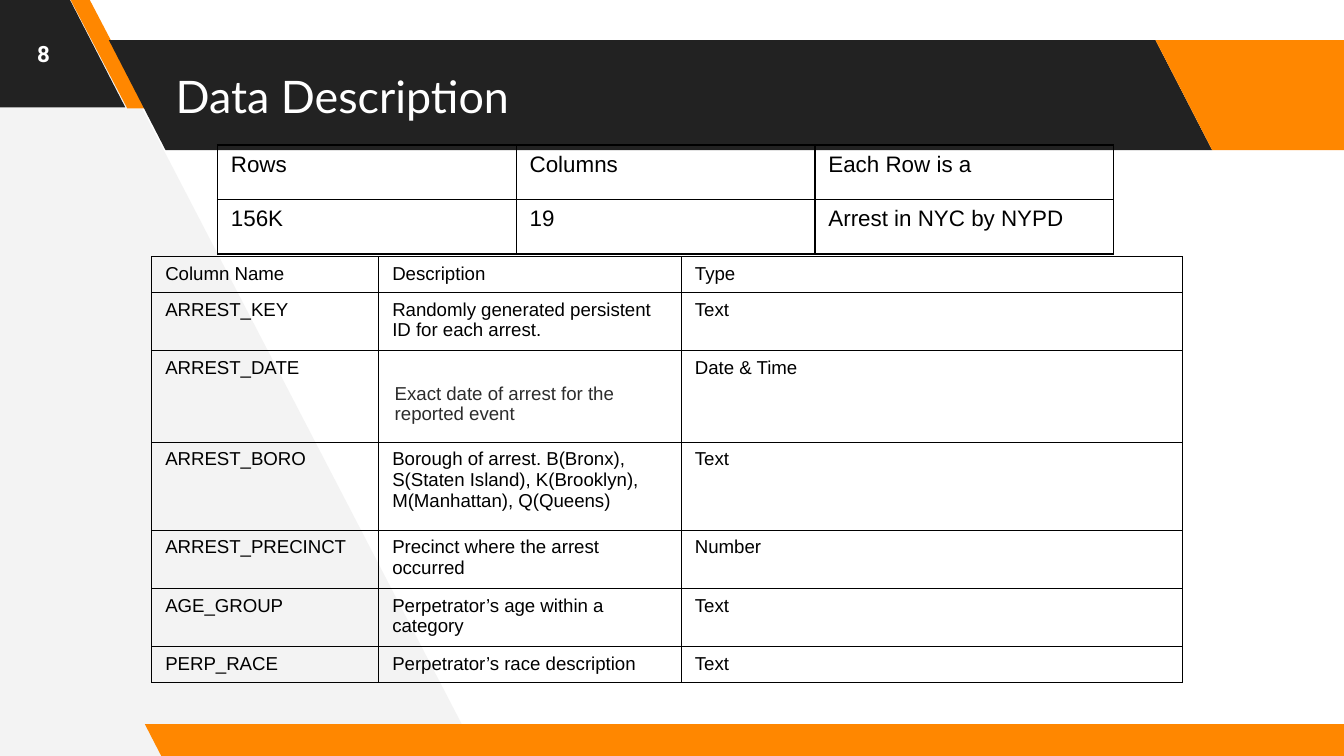
from lxml import etree
from pptx import Presentation
from pptx import util as u
from pptx.dml.color import RGBColor
from pptx.enum import shapes, text
from pptx.oxml import ns

Cm = u.Cm
COLORS = {
    "paper": "F3F3F3",
    "dark": "222222",
    "accent": "FF8700",
    "light": "FFFFFF",
    "ink": "000000",
    "soft_ink": "2C2C2C",
}
SUMMARY = [
    ["Rows", "Columns", "Each Row is a"],
    ["156K", "19", "Arrest in NYC by NYPD"],
]
FIELDS = [
    ["Column Name", "Description", "Type"],
    ["ARREST_KEY", "Randomly generated persistent ID for each arrest.", "Text"],
    ["ARREST_DATE", "Exact date of arrest for the reported event", "Date & Time"],
    ["ARREST_BORO", "Borough of arrest. B(Bronx), S(Staten Island), K(Brooklyn), "
     "M(Manhattan), Q(Queens)", "Text"],
    ["ARREST_PRECINCT", "Precinct where the arrest occurred", "Number"],
    ["AGE_GROUP", "Perpetrator’s age within a category", "Text"],
    ["PERP_RACE", "Perpetrator’s race description", "Text"],
]


def rgb(name):
    return RGBColor.from_string(COLORS[name])


def paint(shape, color):
    shape.shadow.inherit = False
    shape.fill.solid()
    shape.fill.fore_color.rgb = rgb(color)
    shape.line.fill.background()


def style(paragraph, font, size, color, bold=False):
    for run in paragraph.runs:
        run.font.name = font
        run.font.size = u.Pt(size)
        run.font.color.rgb = rgb(color)
        run.font.bold = bold


def add_band(slide, box, color, slant=0.515):
    band = slide.shapes.add_shape(shapes.MSO_SHAPE.PARALLELOGRAM, *map(Cm, box))
    band.adjustments[0] = slant
    band._element.spPr.xfrm.set("flipH", "1")
    paint(band, color)


def add_label(slide, box, wording, font, size, bold=False, align=None):
    label = slide.shapes.add_textbox(*map(Cm, box))
    frame = label.text_frame
    frame.word_wrap = True
    frame.vertical_anchor = text.MSO_ANCHOR.MIDDLE
    frame.margin_left = frame.margin_right = Cm(0.25)
    frame.margin_top = frame.margin_bottom = Cm(0.25)
    frame.text = wording
    frame.paragraphs[0].alignment = align
    style(frame.paragraphs[0], font, size, "light", bold)


def add_backdrop(slide, box):
    left, top, width, height = box
    outline = slide.shapes.build_freeform(Cm(left + 9.04), Cm(top + height), scale=1.0)
    outline.add_line_segments([
        (Cm(left + 1.57), Cm(top - 0.1)),
        (Cm(left - 0.15), Cm(top - 0.1)),
        (Cm(left - 0.05), Cm(top + height + 0.1)),
    ])
    paint(outline.convert_to_shape(), "paper")
    add_band(slide, (left, top + height - 0.6, width, 0.64)
             if left else (2.74, top + height - 0.6, width - 2.15, 0.64), "accent")


def add_header(slide, box):
    left, top, width, height = box
    add_band(slide, (left - 2.51, top - 0.05, 4.88, height), "dark")
    add_band(slide, (left + 1.32, top - 0.03, 1.45, height), "accent", 0.75)
    band_top = top + 0.76
    add_band(slide, (left + 2.06, band_top, 20.85, height), "dark")
    add_band(slide, (left + 21.84, band_top, 4.88, height), "accent")
    add_label(slide, (left + 3.07, band_top, 18.67, height), "Data Description", "Lato", 24)
    add_label(slide, (left, top, 1.65, 2.03), "8", "Roboto", 12, True, text.PP_ALIGN.CENTER)


def add_borders(cell):
    properties = cell._tc.get_or_add_tcPr()
    for index, side in enumerate(("lnL", "lnR", "lnT", "lnB")):
        border = etree.Element(ns.qn(f"a:{side}"), w=str(u.Pt(0.75)))
        fill = etree.SubElement(border, ns.qn("a:solidFill"))
        etree.SubElement(fill, ns.qn("a:srgbClr"), val=COLORS["ink"])
        properties.insert(index, border)


def add_grid(slide, box, rows, column_widths, row_heights, size):
    table = slide.shapes.add_table(len(rows), len(rows[0]), *map(Cm, box)).table
    table.first_row = table.horz_banding = False
    for column, width in zip(table.columns, column_widths):
        column.width = Cm(width)
    for row, height, wordings in zip(table.rows, row_heights, rows):
        row.height = Cm(height)
        for cell, wording in zip(row.cells, wordings):
            cell.text = wording
            cell.fill.background()
            add_borders(cell)
            style(cell.text_frame.paragraphs[0], "Arial", size, "ink")
    return table


def add_summary(slide, box):
    width, height = box[2:]
    add_grid(slide, box, SUMMARY, [width / 3] * 3, [height / 2] * 2, 12)


def add_fields(slide, box):
    heights = [0.66, 1.05, 1.7, 1.66, 1.04, 1.04, 0.65]
    table = add_grid(slide, box, FIELDS, [4.29, 5.72, 9.47], heights, 10)
    date_note = table.cell(2, 1)
    date_note.vertical_anchor = text.MSO_ANCHOR.MIDDLE
    date_note.margin_left = date_note.margin_right = date_note.margin_bottom = Cm(0.3)
    date_note.margin_top = Cm(0.58)
    style(date_note.text_frame.paragraphs[0], "Arial", 10, "soft_ink")


def main():
    deck = Presentation()
    deck.slide_width, deck.slide_height = Cm(25.4), Cm(14.29)
    slide = deck.slides.add_slide(deck.slide_layouts[6])
    add_backdrop(slide, (0, 0, 25.4, 14.29))
    add_header(slide, (0, 0, 25.4, 2.08))
    add_summary(slide, (4.11, 2.74, 16.94, 2.06))
    add_fields(slide, (2.87, 4.85, 19.48, 7.8))
    deck.save("out.pptx")


if __name__ == "__main__":
    main()
